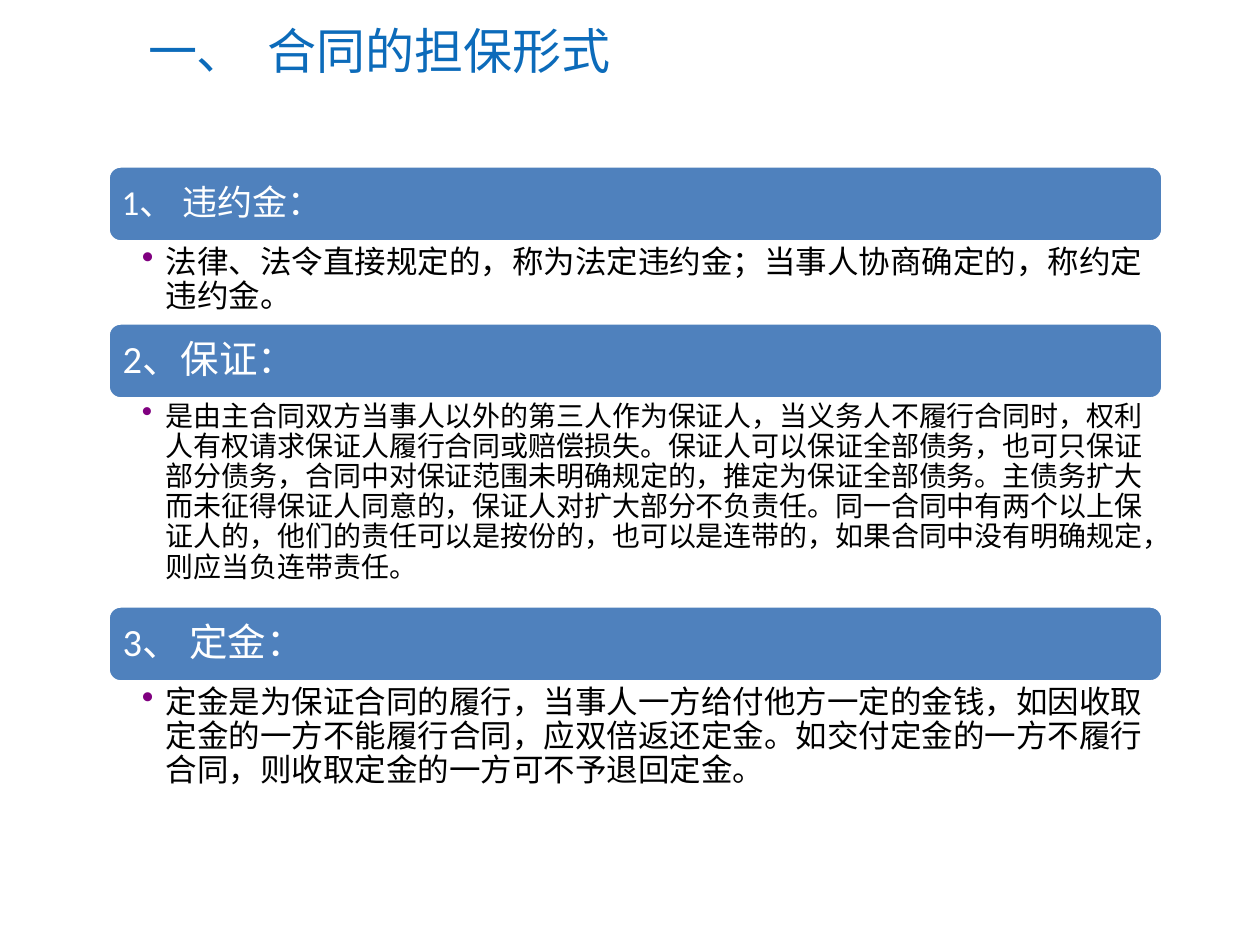
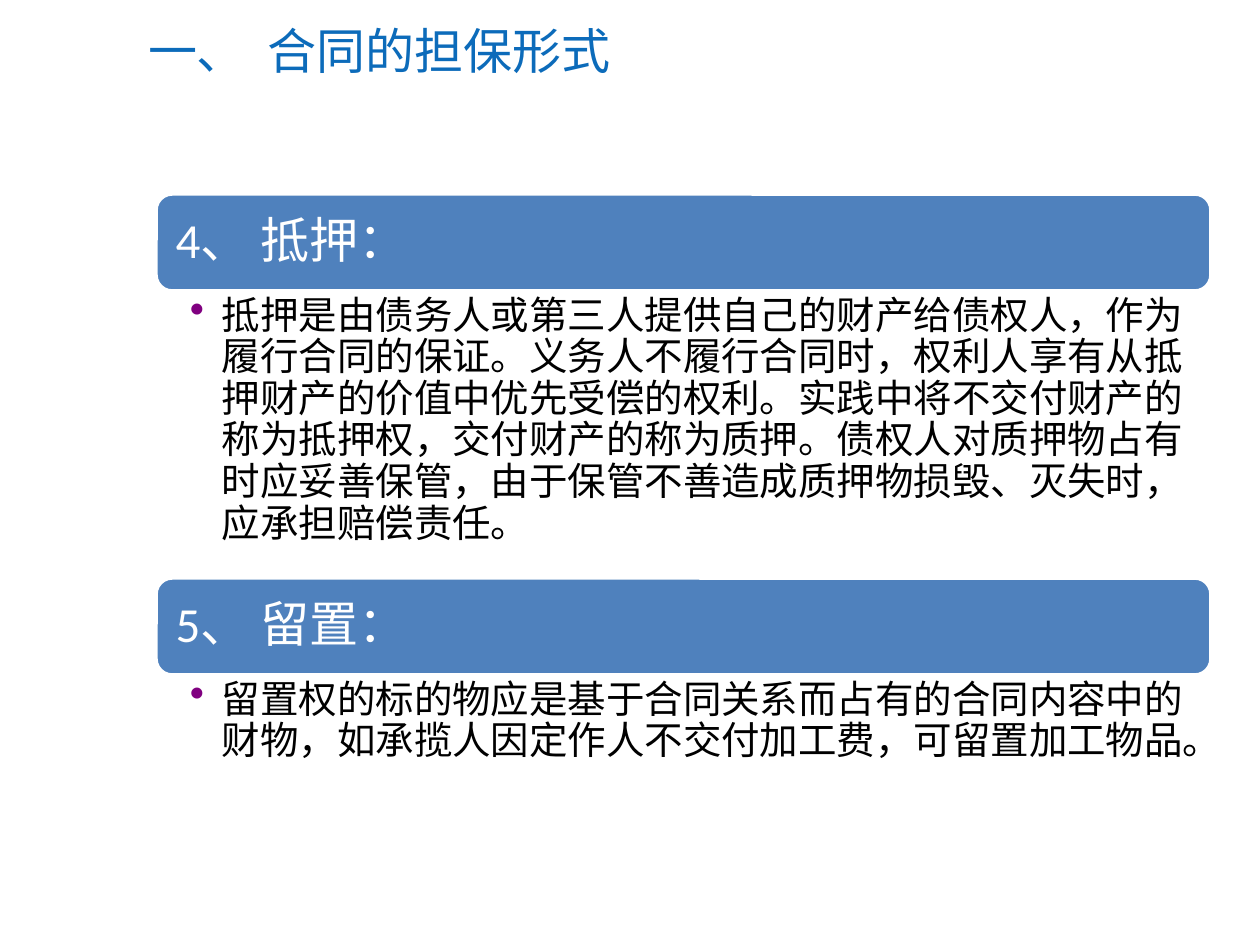
from dataclasses import dataclass

from lxml import etree
from pptx import Presentation
from pptx import util as u
from pptx.dml import color
from pptx.enum import shapes, text
from pptx.oxml import ns

PIXELS_PER_INCH = 126
SLIDE_SIZE = (1260, 945)
TITLE_BOX = (125, 13, 1099, 73)
TITLE_TEXT = "一、  合同的担保形式"
TITLE_COLOR = "0C6BBA"
BAND_COLOR = "4F81BD"
WHITE = "FFFFFF"
BLACK = "000000"
BULLET_COLOR = "800080"
LATIN_FONT = "Calibri"
CJK_FONT = "Noto Sans CJK SC"


@dataclass
class Section:
    heading: str
    detail: str
    detail_height: int
    heading_size: int
    detail_size: int
    heading_inset: int
    detail_insets: tuple
    detail_font: str = LATIN_FONT


@dataclass
class SectionList:
    left: int
    top: int
    width: int
    band_height: int
    bullet_indent: int
    sections: list


GUARANTEE_FORMS = [
    SectionList(108, 166, 1055, 76, 24, [
        Section("1、 违约金：",
                "法律、法令直接规定的，称为法定违约金；当事人协商确定的，称约定违约金。",
                81, 20, 18, 10, (34, 4, 18, 4)),
        Section("2、保证：",
                "是由主合同双方当事人以外的第三人作为保证人，当义务人不履行合同时，"
                "权利人有权请求保证人履行合同或赔偿损失。保证人可以保证全部债务，"
                "也可只保证部分债务，合同中对保证范围未明确规定的，推定为保证全部债务。"
                "主债务扩大而未征得保证人同意的，保证人对扩大部分不负责任。"
                "同一合同中有两个以上保证人的，他们的责任可以是按份的，也可以是连带的，"
                "如果合同中没有明确规定，则应当负连带责任。",
                207, 22, 16, 11, (34, 3, 15, 3), CJK_FONT),
        Section("3、 定金：",
                "定金是为保证合同的履行，当事人一方给付他方一定的金钱，"
                "如因收取定金的一方不能履行合同，应双倍返还定金。"
                "如交付定金的一方不履行合同，则收取定金的一方可不予退回定金。",
                120, 22, 18, 11, (34, 4, 18, 4)),
    ]),
    SectionList(156, 194, 1055, 97, 32, [
        Section("4、 抵押：",
                "抵押是由债务人或第三人提供自己的财产给债权人，作为履行合同的保证。"
                "义务人不履行合同时，权利人享有从抵押财产的价值中优先受偿的权利。"
                "实践中将不交付财产的称为抵押权，交付财产的称为质押。"
                "债权人对质押物占有时应妥善保管，由于保管不善造成质押物损毁、灭失时，"
                "应承担赔偿责任。",
                287, 28, 22, 15, (34, 5, 28, 5)),
        Section("5、 留置：",
                "留置权的标的物应是基于合同关系而占有的合同内容中的财物，"
                "如承揽人因定作人不交付加工费，可留置加工物品。",
                147, 28, 22, 15, (34, 5, 28, 5)),
    ]),
]


def px(length):
    return u.Emu(round(length * 914400 / PIXELS_PER_INCH))


def rgb(hex_color):
    return color.RGBColor.from_string(hex_color)


def write_text(shape, content, size, hex_color, insets, anchor, font=LATIN_FONT):
    frame = shape.text_frame
    frame.text = content
    frame.word_wrap = True
    frame.auto_size = text.MSO_AUTO_SIZE.NONE
    frame.vertical_anchor = anchor
    (frame.margin_left, frame.margin_top,
     frame.margin_right, frame.margin_bottom) = map(px, insets)
    paragraph = frame.paragraphs[0]
    paragraph.alignment = text.PP_ALIGN.LEFT
    run = paragraph.runs[0]
    run.font.size = u.Pt(size)
    run.font.color.rgb = rgb(hex_color)
    run.font.name = font
    etree.SubElement(run.font._element, ns.qn("a:ea"), typeface=CJK_FONT)
    return paragraph


def add_bullet(paragraph, indent):
    properties = paragraph._p.get_or_add_pPr()
    properties.set("marL", str(px(indent)))
    properties.set("indent", str(-px(indent)))
    bullet_color = etree.SubElement(properties, ns.qn("a:buClr"))
    etree.SubElement(bullet_color, ns.qn("a:srgbClr"), val=BULLET_COLOR)
    etree.SubElement(properties, ns.qn("a:buSzPct"), val="110000")
    etree.SubElement(properties, ns.qn("a:buChar"), char="•")


def set_title(slide, box):
    title = slide.shapes.title
    title.left, title.top, title.width, title.height = map(px, box)
    write_text(title, TITLE_TEXT, 28, TITLE_COLOR, (23, 6, 12, 6),
               text.MSO_ANCHOR.MIDDLE)


def add_heading_band(slide, section, box):
    band = slide.shapes.add_shape(
        shapes.MSO_SHAPE.ROUNDED_RECTANGLE, *map(px, box))
    band.shadow.inherit = False
    band.fill.solid()
    band.fill.fore_color.rgb = rgb(BAND_COLOR)
    band.line.color.rgb = rgb(WHITE)
    band.line.width = u.Pt(2)
    paragraph = write_text(band, section.heading, section.heading_size, WHITE,
                           (section.heading_inset,) * 4, text.MSO_ANCHOR.MIDDLE)
    paragraph.line_spacing = 0.9


def add_detail(slide, section, box, indent):
    detail = slide.shapes.add_textbox(*map(px, box))
    paragraph = write_text(detail, section.detail, section.detail_size, BLACK,
                           section.detail_insets, text.MSO_ANCHOR.TOP,
                           section.detail_font)
    paragraph.line_spacing = 0.9
    add_bullet(paragraph, indent)


def add_section_slide(presentation, section_list):
    slide = presentation.slides.add_slide(presentation.slide_layouts[5])
    set_title(slide, TITLE_BOX)
    left, top, width = section_list.left, section_list.top, section_list.width
    for section in section_list.sections:
        add_heading_band(slide, section,
                         (left, top, width, section_list.band_height))
        top += section_list.band_height
        add_detail(slide, section, (left, top, width, section.detail_height),
                   section_list.bullet_indent)
        top += section.detail_height


def main():
    presentation = Presentation()
    presentation.slide_width, presentation.slide_height = map(px, SLIDE_SIZE)
    for section_list in GUARANTEE_FORMS:
        add_section_slide(presentation, section_list)
    presentation.save("out.pptx")


if __name__ == "__main__":
    main()
